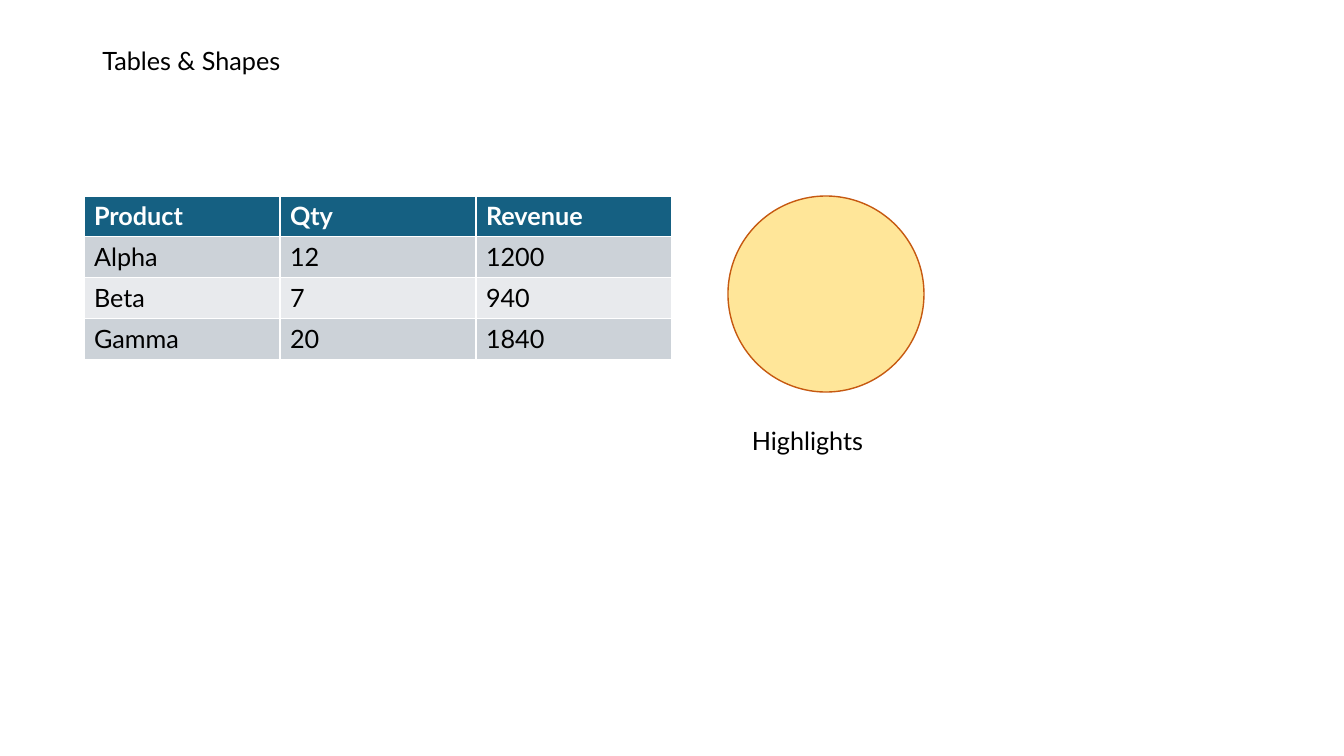
from pptx import Presentation
from pptx.dml.color import RGBColor
from pptx.enum import shapes
from pptx.util import Pt

FONT = "Lato"
BLACK = RGBColor(0x00, 0x00, 0x00)
WHITE = RGBColor(0xFF, 0xFF, 0xFF)
HEADER = RGBColor(0x15, 0x60, 0x82)
BAND_DARK = RGBColor(0xCC, 0xD2, 0xD8)
BAND_LIGHT = RGBColor(0xE8, 0xEA, 0xED)
YELLOW = RGBColor(0xFF, 0xE6, 0x99)
ORANGE = RGBColor(0xC6, 0x59, 0x11)


def write(tf, content, color=BLACK, bold=False):
    p = tf.paragraphs[0]
    r = p.add_run()
    r.text = content
    for name, value in {"name": FONT, "size": Pt(18), "bold": bold}.items():
        setattr(r.font, name, value)
    r.font.color.rgb = color


prs = Presentation()
prs.slide_width, prs.slide_height = Pt(960), Pt(540)
s = prs.slides.add_slide(prs.slide_layouts[6])

# Title and circle caption
for content, box in [
    ("Tables & Shapes", (66, 29, 612, 116)),
    ("Highlights", (530, 300, 120, 40)),
]:
    tf = s.shapes.add_textbox(*map(Pt, box)).text_frame
    tf.word_wrap = True
    write(tf, content)

# Product table
rows = [
    ("Product", "Qty", "Revenue"),
    ("Alpha", "12", "1200"),
    ("Beta", "7", "940"),
    ("Gamma", "20", "1840"),
]
row_height = 29.2
table = s.shapes.add_table(
    len(rows), len(rows[0]), Pt(60), Pt(140), Pt(420), Pt(row_height * len(rows))
).table
for i, row in enumerate(rows):
    is_header = i == 0
    fill = HEADER if is_header else BAND_DARK if i % 2 else BAND_LIGHT
    for j, content in enumerate(row):
        cell = table.cell(i, j)
        cell.fill.solid()
        cell.fill.fore_color.rgb = fill
        write(cell.text_frame, content, WHITE if is_header else BLACK, is_header)

# Highlight circle
sp = s.shapes.add_shape(shapes.MSO_SHAPE.OVAL, Pt(520), Pt(140), Pt(140), Pt(140))
sp.shadow.inherit = False
sp.fill.solid()
sp.fill.fore_color.rgb = YELLOW
sp.line.color.rgb = ORANGE
sp.line.width = Pt(1)

prs.save("out.pptx")
